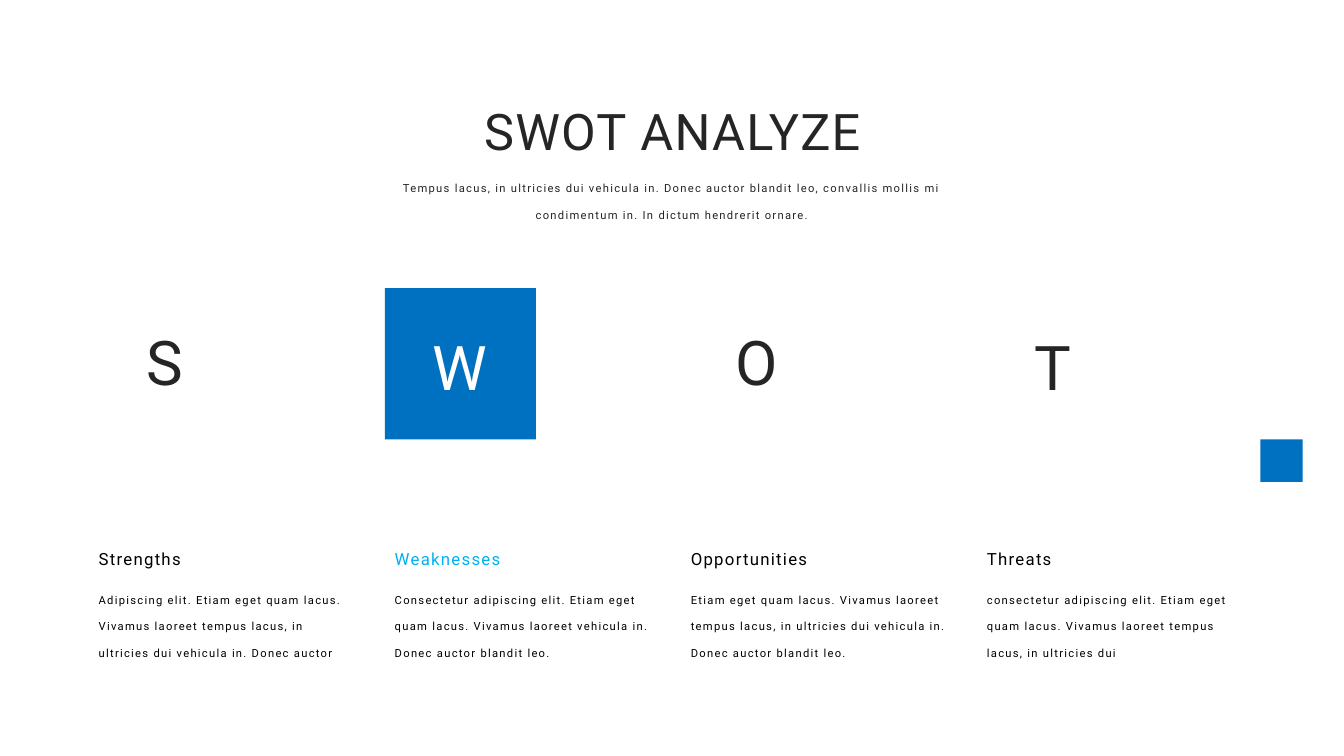
from dataclasses import dataclass

from pptx import Presentation
from pptx.dml.color import RGBColor
from pptx.enum.shapes import MSO_SHAPE
from pptx.enum.text import MSO_ANCHOR, MSO_AUTO_SIZE, PP_ALIGN
from pptx.shapes.autoshape import Shape
from pptx.slide import Slide
from pptx.util import Inches, Pt

RECT = MSO_SHAPE.RECTANGLE
TOP = MSO_ANCHOR.TOP
GROW = MSO_AUTO_SIZE.SHAPE_TO_FIT_TEXT
LEFT, MID = PP_ALIGN.LEFT, PP_ALIGN.CENTER

BLUE = RGBColor(0x00, 0x70, 0xC0)
SKY = RGBColor(0x00, 0xB0, 0xF0)
DARK = RGBColor(0x25, 0x25, 0x25)
BLACK = RGBColor(0x00, 0x00, 0x00)
WHITE = RGBColor(0xFF, 0xFF, 0xFF)

FONT = "Roboto"
WIDE, HIGH = Inches(13.33), Inches(7.5)
START, PITCH = 6.6, 22.03
TILE_W, TILE_H = 11.25, 20


@dataclass(frozen=True)
class Box:
    left: float
    top: float
    width: float
    height: float

    def emu(self) -> tuple[int, int, int, int]:
        return (
            round(WIDE * self.left / 100),
            round(HIGH * self.top / 100),
            round(WIDE * self.width / 100),
            round(HIGH * self.height / 100),
        )


@dataclass(frozen=True)
class Style:
    size: int
    color: RGBColor
    align: PP_ALIGN = LEFT
    lead: float = 1.0
    wrap: bool = True


@dataclass(frozen=True)
class Part:
    head: str
    body: str
    mark_w: float
    mark_top: float
    head_w: float
    body_h: float = 11.73
    tile: RGBColor = WHITE
    ink: RGBColor = DARK
    tint: RGBColor = BLACK


PARTS = [
    Part("Strengths",
         "Adipiscing elit. Etiam eget quam lacus. Vivamus laoreet tempus lacus, "
         "in ultricies dui vehicula in. Donec auctor",
         4.35, 42.13, 8.48, body_h=15.2),
    Part("Weaknesses",
         "Consectetur adipiscing elit. Etiam eget quam lacus. Vivamus laoreet "
         "vehicula in. Donec auctor blandit leo.",
         5.7, 42.8, 10.05, tile=BLUE, ink=WHITE, tint=SKY),
    Part("Opportunities",
         "Etiam eget quam lacus. Vivamus laoreet tempus lacus, in ultricies dui "
         "vehicula in. Donec auctor blandit leo.",
         5.1, 42.13, 11.33),
    Part("Threats",
         "consectetur adipiscing elit. Etiam eget quam lacus. Vivamus laoreet "
         "tempus lacus, in ultricies dui",
         4.43, 42.8, 6.98),
]


def write(shape: Shape, text: str, style: Style) -> None:
    frame = shape.text_frame
    frame.text = text
    frame.word_wrap = style.wrap
    frame.auto_size = GROW
    frame.vertical_anchor = TOP
    line = frame.paragraphs[0]
    line.alignment = style.align
    line.line_spacing = style.lead
    for run in line.runs:
        run.font.name = FONT
        run.font.size = Pt(style.size)
        run.font.color.rgb = style.color
        run._r.get_or_add_rPr().set("spc", "90")


def add_text(slide: Slide, box: Box, text: str, style: Style) -> None:
    write(slide.shapes.add_textbox(*box.emu()), text, style)


def add_tile(slide: Slide, box: Box, color: RGBColor) -> None:
    tile = slide.shapes.add_shape(RECT, *box.emu())
    tile.shadow.inherit = False
    tile.fill.solid()
    tile.fill.fore_color.rgb = color
    tile.line.fill.background()


def add_title(slide: Slide, box: Box, text: str, style: Style) -> None:
    title = slide.shapes.title
    title.left, title.top, title.width, title.height = box.emu()
    write(title, text, style)


def add_part(slide: Slide, part: Part, left: float) -> None:
    add_tile(slide, Box(left, 38.13, TILE_W, TILE_H), part.tile)
    inset = (TILE_W - part.mark_w) / 2
    add_text(slide, Box(left + inset, part.mark_top, part.mark_w, 11.2),
             part.head[0], Style(44, part.ink, MID, wrap=False))
    add_text(slide, Box(left, 69.2, part.head_w, 6), part.head,
             Style(12, part.tint, lead=2.0, wrap=False))
    add_text(slide, Box(left, 76, 20.7, part.body_h), part.body,
             Style(8, BLACK, lead=2.0))


def main() -> None:
    deck = Presentation()
    deck.slide_width, deck.slide_height = WIDE, HIGH
    slide = deck.slides.add_slide(deck.slide_layouts.get_by_name("Title Only"))
    add_title(slide, Box(30.61, 8.53, 38.86, 12.4), "SWOT ANALYZE",
              Style(36, DARK, MID, 1.5))
    add_text(slide, Box(26.03, 21.6, 47.94, 8.13),
             "Tempus lacus, in ultricies dui vehicula in. Donec auctor blandit leo, "
             "convallis mollis mi condimentum in. In dictum hendrerit ornare.",
             Style(8, DARK, MID, 2.0))
    for index, part in enumerate(PARTS):
        add_part(slide, part, START + PITCH * index)
    add_tile(slide, Box(93.77, 58.13, 3.15, 5.6), BLUE)
    deck.save("out.pptx")


if __name__ == "__main__":
    main()
